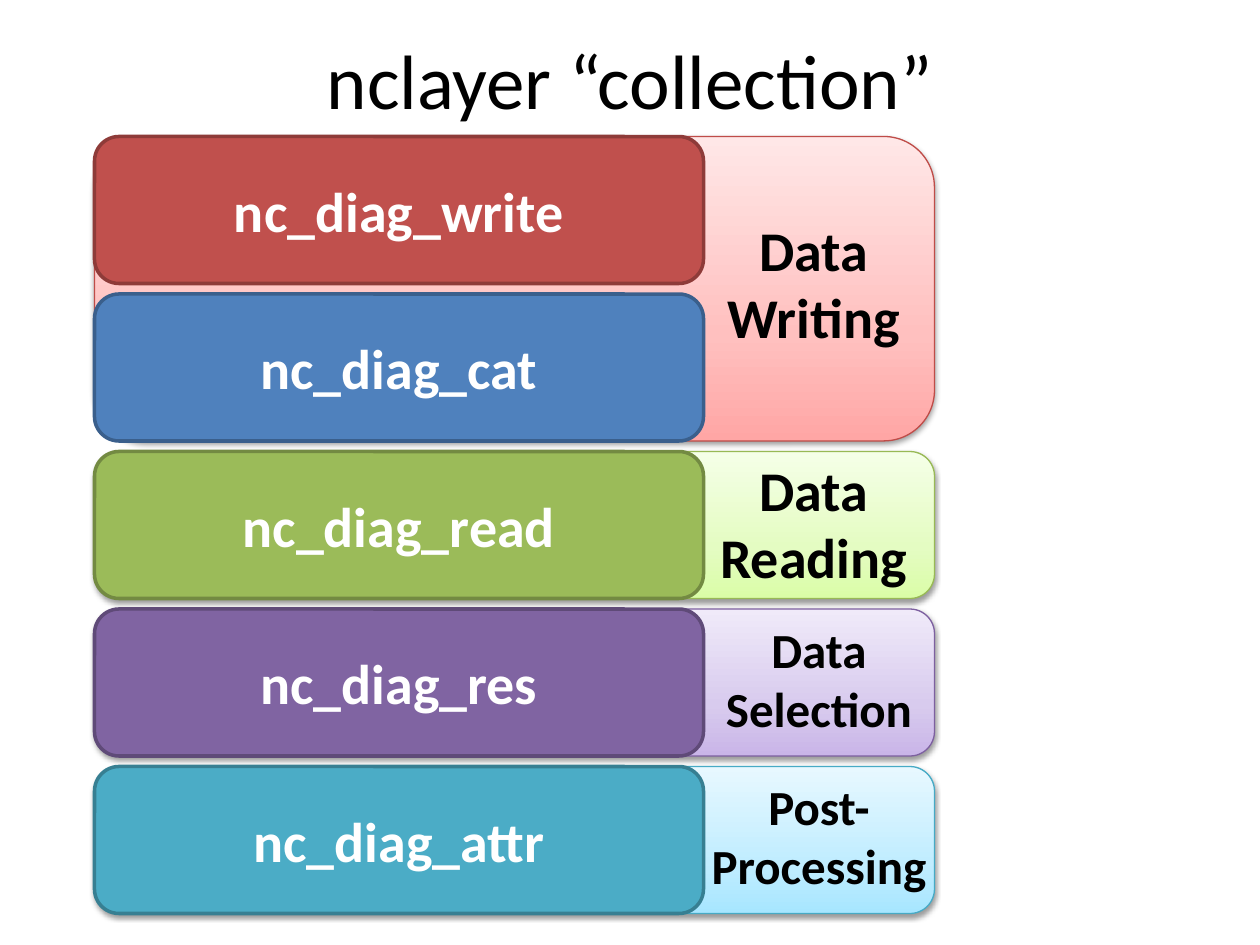
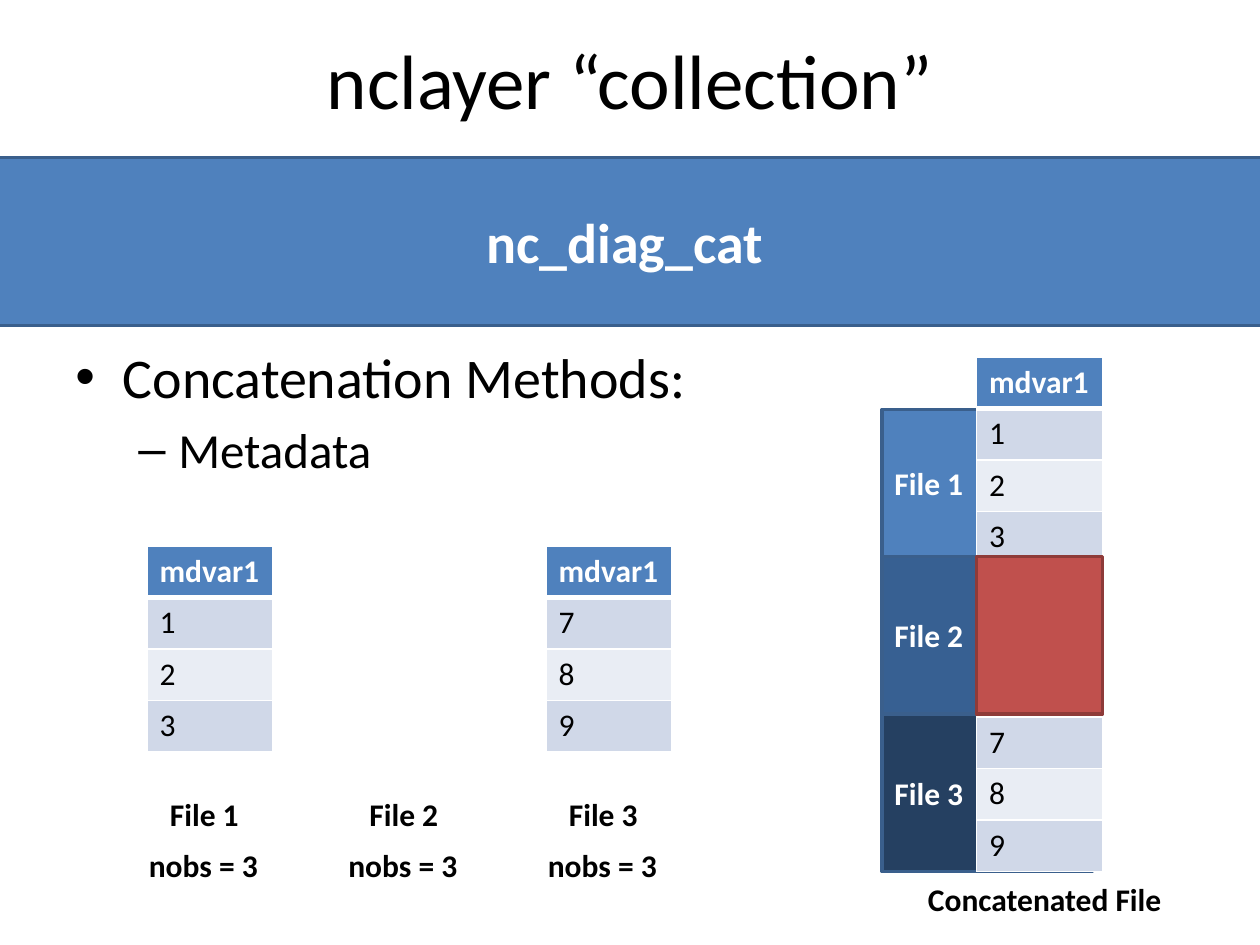
"""Build two slides about the modules of the nclayer collection."""
from copy import deepcopy

from lxml.etree import SubElement
from pptx import Presentation
from pptx.dml.color import RGBColor
from pptx.enum.shapes import MSO_SHAPE
from pptx.enum.text import MSO_ANCHOR, PP_ALIGN
from pptx.oxml.ns import qn
from pptx.util import Pt

PX = 7620
FONT = "Calibri"
BLACK = RGBColor(0x00, 0x00, 0x00)
WHITE = RGBColor(0xFF, 0xFF, 0xFF)
RED = RGBColor(0xC0, 0x50, 0x4D)
RED_EDGE = RGBColor(0x8E, 0x3B, 0x39)
BLUE = RGBColor(0x4F, 0x81, 0xBD)
BLUE_EDGE = RGBColor(0x3A, 0x5F, 0x8C)
BLUE_DARK = RGBColor(0x37, 0x60, 0x92)
BLUE_DARKEST = RGBColor(0x25, 0x40, 0x61)
GREEN = RGBColor(0x9B, 0xBB, 0x59)
GREEN_EDGE = RGBColor(0x73, 0x8A, 0x42)
PURPLE = RGBColor(0x80, 0x64, 0xA2)
PURPLE_EDGE = RGBColor(0x5F, 0x4A, 0x78)
TEAL = RGBColor(0x4B, 0xAC, 0xC6)
TEAL_EDGE = RGBColor(0x37, 0x7F, 0x92)
ROW_ODD = RGBColor(0xD0, 0xD8, 0xE8)
ROW_EVEN = RGBColor(0xE9, 0xED, 0xF4)

PINK_TINTS = [RGBColor(0xFF, 0xA6, 0xA5), RGBColor(0xFF, 0xC0, 0xBF), RGBColor(0xFF, 0xE7, 0xE7)]
LIME_TINTS = [RGBColor(0xDA, 0xFD, 0xA7), RGBColor(0xE4, 0xFC, 0xC2), RGBColor(0xF5, 0xFF, 0xE7)]
LILAC_TINTS = [RGBColor(0xC9, 0xB5, 0xE8), RGBColor(0xD8, 0xCB, 0xEE), RGBColor(0xF0, 0xEA, 0xF9)]
SKY_TINTS = [RGBColor(0xA7, 0xE6, 0xFF), RGBColor(0xC1, 0xED, 0xFF), RGBColor(0xE7, 0xF8, 0xFF)]
PINK_EDGE = RGBColor(0xBF, 0x4C, 0x48)
LIME_EDGE = RGBColor(0x98, 0xB9, 0x55)
LILAC_EDGE = RGBColor(0x7D, 0x60, 0xA0)
SKY_EDGE = RGBColor(0x46, 0xAA, 0xC5)

TITLE = "nclayer “collection”"
LEFT, TOP, PITCH, GAP = 90, 130, 150, 10
MODULES = [
    ("nc_diag_write", RED, RED_EDGE),
    ("nc_diag_cat", BLUE, BLUE_EDGE),
    ("nc_diag_read", GREEN, GREEN_EDGE),
    ("nc_diag_res", PURPLE, PURPLE_EDGE),
    ("nc_diag_attr", TEAL, TEAL_EDGE),
]
PURPOSES = [
    ("Data\nWriting", 0, 2, PINK_TINTS, PINK_EDGE, 32, (680, 199, 190, 142)),
    ("Data\nReading", 2, 1, LIME_TINTS, LIME_EDGE, 32, (670, 428, 210, 142)),
    ("Data\nSelection", 3, 1, LILAC_TINTS, LILAC_EDGE, 28, (660, 584, 240, 125)),
    ("Post-\nProcessing", 4, 1, SKY_TINTS, SKY_EDGE, 28, (660, 734, 240, 125)),
]
FILES = [
    ("File 1", ["1", "2", "3"], BLUE, 390, 140),
    ("File 2", [], BLUE_DARK, 530, 150),
    ("File 3", ["7", "8", "9"], BLUE_DARKEST, 680, 150),
]


def scaled(box):
    return [length * PX for length in box]


class Deck:
    """Hold the shared style and the current slide."""

    def __init__(self):
        self.presentation = Presentation()
        self.presentation.slide_width, self.presentation.slide_height = scaled((1200, 900))

    def start(self, title):
        self.slide = self.presentation.slides.add_slide(self.presentation.slide_layouts[5])
        heading = self.slide.shapes.title
        heading.left, heading.top, heading.width, heading.height = scaled((60, 0, 1080, 150))
        heading.text_frame.vertical_anchor = MSO_ANCHOR.MIDDLE
        self.set_text(heading.text_frame, title, 44, BLACK, False, PP_ALIGN.CENTER)

    def set_text(self, frame, text, size, color, bold=True, align=PP_ALIGN.LEFT):
        frame.text = text
        for paragraph in frame.paragraphs:
            paragraph.alignment = align
            for run in paragraph.runs:
                run.font.name = FONT
                run.font.size = Pt(size)
                run.font.bold = bold
                run.font.color.rgb = color

    def shape(self, preset, box, edge, weight):
        shape = self.slide.shapes.add_shape(preset, *scaled(box))
        shape.shadow.inherit = False
        shape.line.color.rgb = edge
        shape.line.width = Pt(weight)
        return shape

    def block(self, box, fill, edge, text="", size=32, align=PP_ALIGN.CENTER,
              preset=MSO_SHAPE.RECTANGLE):
        block = self.shape(preset, box, edge, 2)
        block.fill.solid()
        block.fill.fore_color.rgb = fill
        block.text_frame.vertical_anchor = MSO_ANCHOR.MIDDLE
        if text:
            self.set_text(block.text_frame, text, size, WHITE, align=align)

    def panel(self, box, tints, edge):
        panel = self.shape(MSO_SHAPE.ROUNDED_RECTANGLE, box, edge, 0.75)
        panel.fill.gradient()
        panel.fill.gradient_angle = 90
        properties = panel._element.spPr
        stops = properties.find(qn("a:gradFill")).find(qn("a:gsLst"))
        stops.append(deepcopy(stops[-1]))
        for stop, tint, position in zip(panel.fill.gradient_stops, tints, (0, 0.35, 1)):
            stop.color.rgb = tint
            stop.position = position
        shadow = SubElement(properties.find(qn("a:effectLst")), qn("a:outerShdw"),
                            blurRad="40000", dist="20000", dir="5400000", rotWithShape="0")
        shade = SubElement(shadow, qn("a:srgbClr"), val="000000")
        SubElement(shade, qn("a:alpha"), val="38000")

    def label(self, box, text, size=18, align=PP_ALIGN.LEFT, wrap=False):
        frame = self.slide.shapes.add_textbox(*scaled(box)).text_frame
        frame.word_wrap = wrap
        self.set_text(frame, text, size, BLACK, align=align)

    def bullets(self, box, items):
        frame = self.slide.shapes.add_textbox(*scaled(box)).text_frame
        frame.word_wrap = True
        self.set_text(frame, "\n".join(text for text, *_ in items), 32, BLACK, False)
        for level, (paragraph, item) in enumerate(zip(frame.paragraphs, items)):
            _, size, mark, margin, indent = item
            paragraph.level = level
            if level:
                paragraph.space_before = Pt(size * 0.2)
            properties = paragraph._p.get_or_add_pPr()
            properties.set("marL", str(margin * PX))
            properties.set("indent", str(-indent * PX))
            SubElement(properties, qn("a:buFont"), typeface="Arial")
            SubElement(properties, qn("a:buChar"), char=mark)
            paragraph.runs[0].font.size = Pt(size)

    def border(self, cell, side, points):
        line = SubElement(cell._tc.get_or_add_tcPr(), qn(f"a:{side}"), w=str(Pt(points)))
        fill = SubElement(line, qn("a:solidFill"))
        SubElement(fill, qn("a:srgbClr"), val=str(WHITE))

    def column(self, left, top, header, values):
        entries = [header, *values]
        row_height = 49
        table = self.slide.shapes.add_table(
            len(entries), 1, *scaled((left, top, 120, row_height * len(entries)))).table
        for index, text in enumerate(entries):
            table.rows[index].height = row_height * PX
            cell = table.cell(index, 0)
            for side in ("lnL", "lnR", "lnT", "lnB"):
                under_header = (index, side) in ((0, "lnB"), (1, "lnT"))
                self.border(cell, side, 3 if under_header else 1)
            cell.fill.solid()
            cell.fill.fore_color.rgb = (ROW_ODD if index % 2 else ROW_EVEN) if index else BLUE
            if text:
                self.set_text(cell.text_frame, text, 18, BLACK if index else WHITE, index == 0)


def build_modules(deck):
    deck.start(TITLE)
    for text, first, span, tints, edge, size, text_box in PURPOSES:
        deck.panel((LEFT, TOP + first * PITCH, 800, span * PITCH - GAP), tints, edge)
        deck.label(text_box, text, size, PP_ALIGN.CENTER, wrap=True)
    for index, (name, fill, edge) in enumerate(MODULES):
        deck.block((LEFT, TOP + index * PITCH, 580, PITCH - GAP), fill, edge, name,
                   preset=MSO_SHAPE.ROUNDED_RECTANGLE)


def build_concatenation(deck):
    deck.start(TITLE)
    deck.bullets((60, 320, 760, 160), [
        ("Concatenation Methods:", 32, "•", 45, 45),
        ("Metadata", 28, "–", 98, 38),
    ])
    for name, _, fill, top, height in reversed(FILES):
        deck.block((840, top, 200, height), fill, BLUE_EDGE, name, 18, PP_ALIGN.LEFT)
    deck.block((-30, 150, 1250, 160), BLUE, BLUE_EDGE, "nc_diag_cat")
    merged = [value for _, values, *_ in FILES for value in values or [""] * 3]
    deck.column(930, 340, "mdvar1", merged)
    for index, (name, values, *_) in enumerate(FILES):
        left = 130 + index * 190
        if values:
            deck.column(left + 10, 520, "mdvar1", values)
        deck.label((left + 20, 751, 90, 48), name)
        deck.label((left, 800, 130, 48), "nobs = 3")
    deck.label((872, 832, 248, 48), "Concatenated File")
    deck.block((930, 530, 120, 150), RED, RED_EDGE)


def main():
    deck = Deck()
    build_modules(deck)
    build_concatenation(deck)
    deck.presentation.save("out.pptx")


if __name__ == "__main__":
    main()
